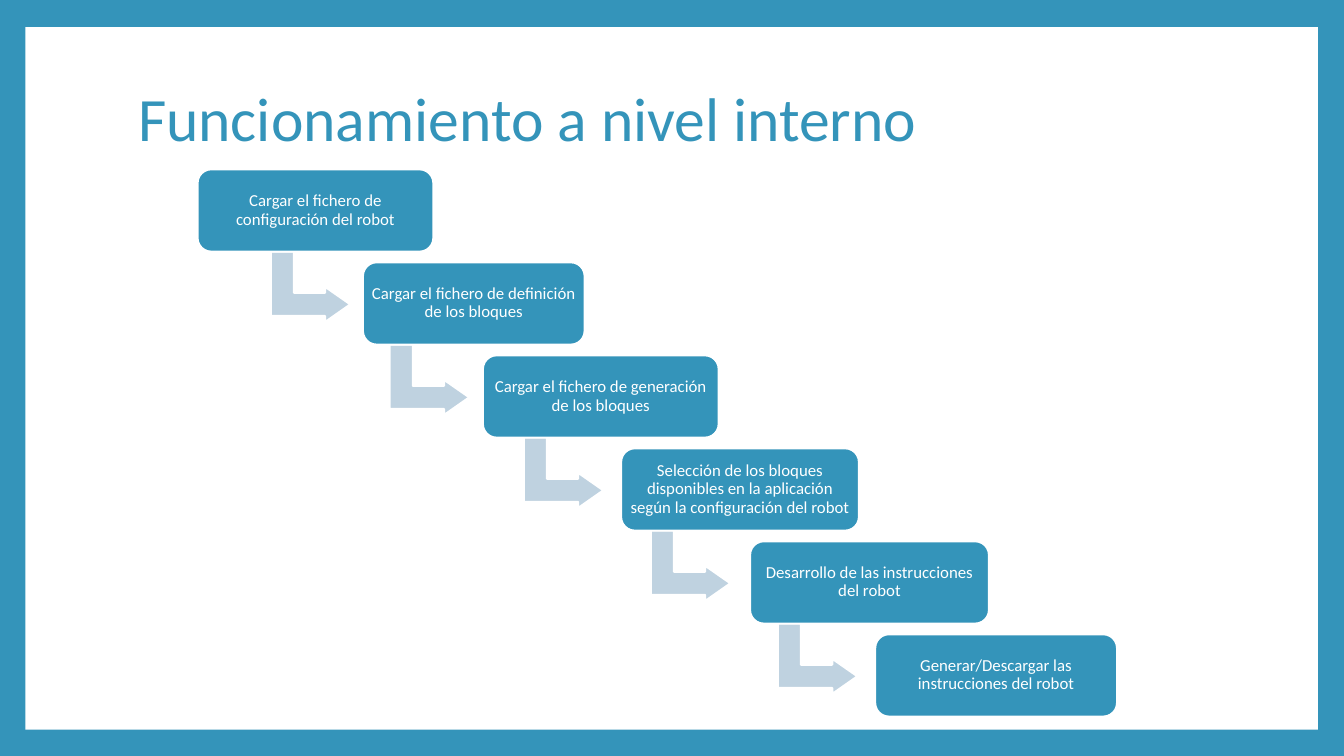
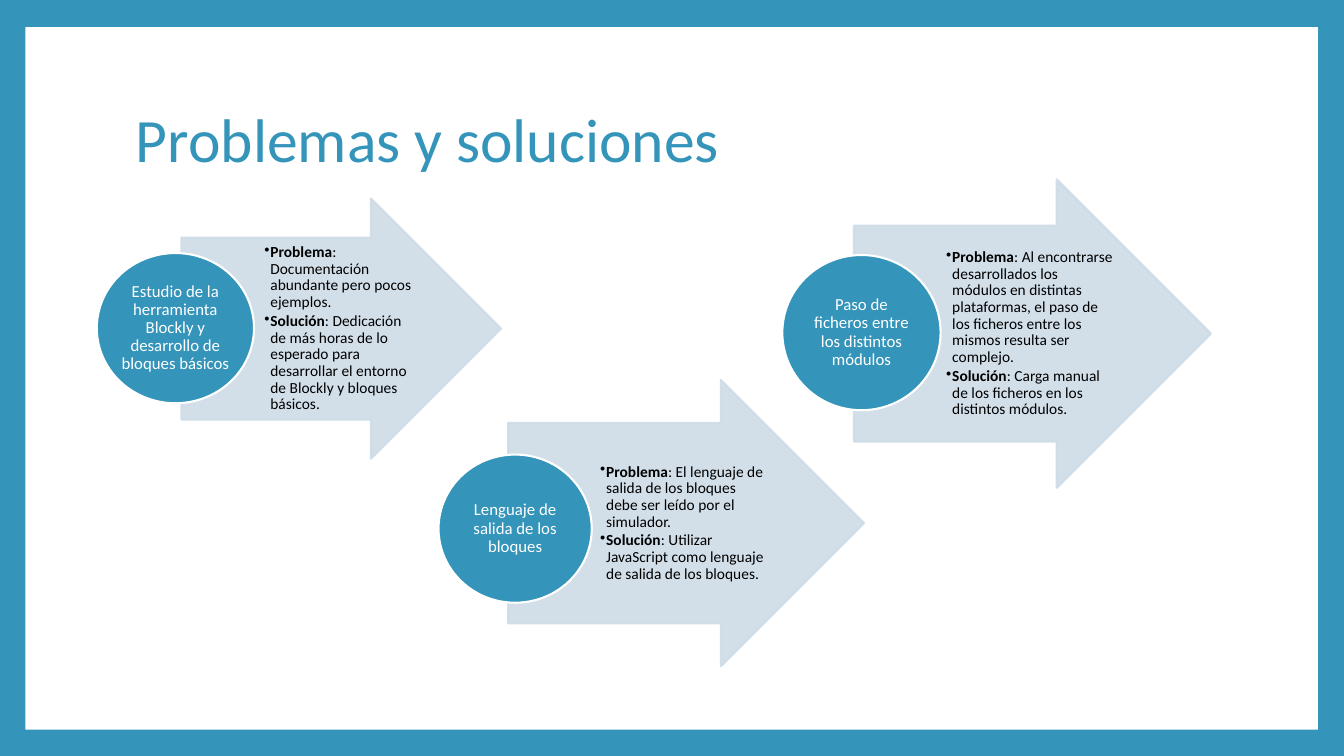
from lxml import etree
from pptx import Presentation
from pptx.dml.color import RGBColor
from pptx.enum.shapes import MSO_SHAPE
from pptx.enum.text import MSO_ANCHOR, PP_ALIGN
from pptx.oxml.ns import qn
from pptx.util import Inches, Pt

RECT, ROUND, OVAL = MSO_SHAPE.RECTANGLE, MSO_SHAPE.ROUNDED_RECTANGLE, MSO_SHAPE.OVAL
BEND, ARROW = MSO_SHAPE.BENT_UP_ARROW, MSO_SHAPE.RIGHT_ARROW
MIDDLE, LEFT, CENTER = MSO_ANCHOR.MIDDLE, PP_ALIGN.LEFT, PP_ALIGN.CENTER
BLUE, WHITE, BLACK, STEEL, PALE = "3494BA", "FFFFFF", "000000", "BFD2E0", "CEDCE7"

# Margins run left, top, right, bottom, in inches
TITLE = dict(size=44, color=BLUE, align=LEFT, pad=(0.1, 0.05, 0.1, 0.05))
STEP = dict(size=12, color=WHITE, align=CENTER, pad=(0.05,) * 4)
TOPIC = dict(STEP, pad=(0.01,) * 4)
NOTE = dict(size=11, color=BLACK, align=LEFT, pad=(0.03, 0.01, 0.02, 0.01))

prs = Presentation()
prs.slide_width, prs.slide_height = Inches(13.33), Inches(7.5)
back = prs.slide_master.background.fill
back.solid()
back.fore_color.rgb = RGBColor.from_string(BLUE)


def put(slide, kind, area, fill=None, line=None, adj=()):
    """Add a shape, or a text box if kind is None; area is in percent of the slide."""
    sides = (prs.slide_width, prs.slide_height) * 2
    box = [round(part * side / 100) for part, side in zip(area, sides)]
    if kind is None:
        return slide.shapes.add_textbox(*box)
    shape = slide.shapes.add_shape(kind, *box)
    shape.shadow.inherit = False
    shape.fill.solid()
    shape.fill.fore_color.rgb = RGBColor.from_string(fill)
    if line:
        shape.line.color.rgb = RGBColor.from_string(line)
        shape.line.width = Pt(1.5)
    else:
        shape.line.fill.background()
    for i, value in enumerate(adj):
        shape.adjustments[i] = value
    return shape


def write(shape, paras, look):
    """Fill a shape with paragraphs, each a list of (text, bold) runs."""
    frame = shape.text_frame
    frame.word_wrap = True
    frame.vertical_anchor = MIDDLE
    for side, pad in zip(("left", "top", "right", "bottom"), look["pad"]):
        setattr(frame, "margin_" + side, Inches(pad))
    for i, runs in enumerate(paras):
        para = frame.add_paragraph() if i else frame.paragraphs[0]
        para.alignment, para.line_spacing = look["align"], 0.9
        for text, bold in runs:
            run = para.add_run()
            run.text = text
            font = dict(name="Calibri", size=Pt(look["size"]), bold=bold)
            for key, value in font.items():
                setattr(run.font, key, value)
            run.font.color.rgb = RGBColor.from_string(look["color"])


# Frame and title of every slide
pages = []
for title, left, top in (
    ("Funcionamiento a nivel interno", 9.53, 6.27),
    ("Problemas y soluciones", 9.38, 8.93),
):
    page = prs.slides.add_slide(prs.slide_layouts[6])
    put(page, RECT, (1.88, 3.6, 96.17, 92.93), WHITE)
    write(put(page, None, (left, top, 81, 19.73)), [[(title, False)]], TITLE)
    pages.append(page)
flow, issues = pages

# Staircase of steps: left, width, left of the arrow below, text
steps = [
    (14.7, 17.55, 20.48, "Cargar el fichero de configuración del robot"),
    (27, 16.5, 29.33, "Cargar el fichero de definición de los bloques"),
    (35.93, 17.55, 39.31, "Cargar el fichero de generación de los bloques"),
    (46.21, 17.7, 48.76, "Selección de los bloques disponibles en la aplicación "
     "según la configuración del robot"),
    (55.81, 17.78, 58.21, "Desarrollo de las instrucciones del robot"),
    (65.12, 18, None, "Generar/Descargar las instrucciones del robot"),
]
for i, (left, width, bend, text) in enumerate(steps):
    top = 22.4 + 12.3 * i
    if bend:
        area = (bend, top + 10.27, 5.25, 10.53)
        put(flow, BEND, area, STEEL, WHITE, (0.328, 0.25, 0.358)).rotation = 90
    box = put(flow, ROUND, (left, top, width, 10.9), BLUE, WHITE, (0.167,))
    write(box, [[(text, False)]], STEP)

# Arrow area, circle area, topic, problem, solution
cases = [
    ((13.5, 26.27, 23.78, 34.4), (7.2, 33.47, 11.7, 19.87),
     "Estudio de la herramienta Blockly y desarrollo de bloques básicos",
     "Documentación abundante pero pocos ejemplos.",
     "Dedicación de más horas de lo esperado para desarrollar el entorno "
     "de Blockly y bloques básicos."),
    ((37.81, 50.27, 26.48, 37.87), (32.63, 60.13, 11.4, 19.6),
     "Lenguaje de salida de los bloques",
     "El lenguaje de salida de los bloques debe ser leído por el simulador.",
     "Utilizar JavaScript como lenguaje de salida de los bloques."),
    ((63.54, 23.73, 26.56, 40.8), (58.21, 33.73, 11.78, 20.53),
     "Paso de ficheros entre los distintos módulos",
     "Al encontrarse desarrollados los módulos en distintas plataformas, "
     "el paso de los ficheros entre los mismos resulta ser complejo.",
     "Carga manual de los ficheros en los distintos módulos."),
]
for area, ring, topic, trouble, answer in cases:
    arrow = put(issues, ARROW, area, PALE, PALE, (0.7, 0.5))
    for color in arrow._element.spPr.iter(qn("a:srgbClr")):
        etree.SubElement(color, qn("a:alpha"), val="90000")

    left, top, width, height = area
    note = put(issues, None, (left + width / 4, top + 0.15 * height,
                              0.49 * width, 0.7 * height))
    pairs = (("Problema", trouble), ("Solución", answer))
    write(note, [[(head, True), (": " + body, False)] for head, body in pairs], NOTE)
    for para in note.text_frame.paragraphs:
        para.space_after = Pt(1.65)
        props = para._p.get_or_add_pPr()
        props.set("marL", str(Inches(0.06)))
        props.set("indent", str(-Inches(0.06)))
        etree.SubElement(props, qn("a:buChar"), char="•")

    write(put(issues, OVAL, ring, BLUE, WHITE), [[(topic, False)]], TOPIC)

prs.save("out.pptx")
